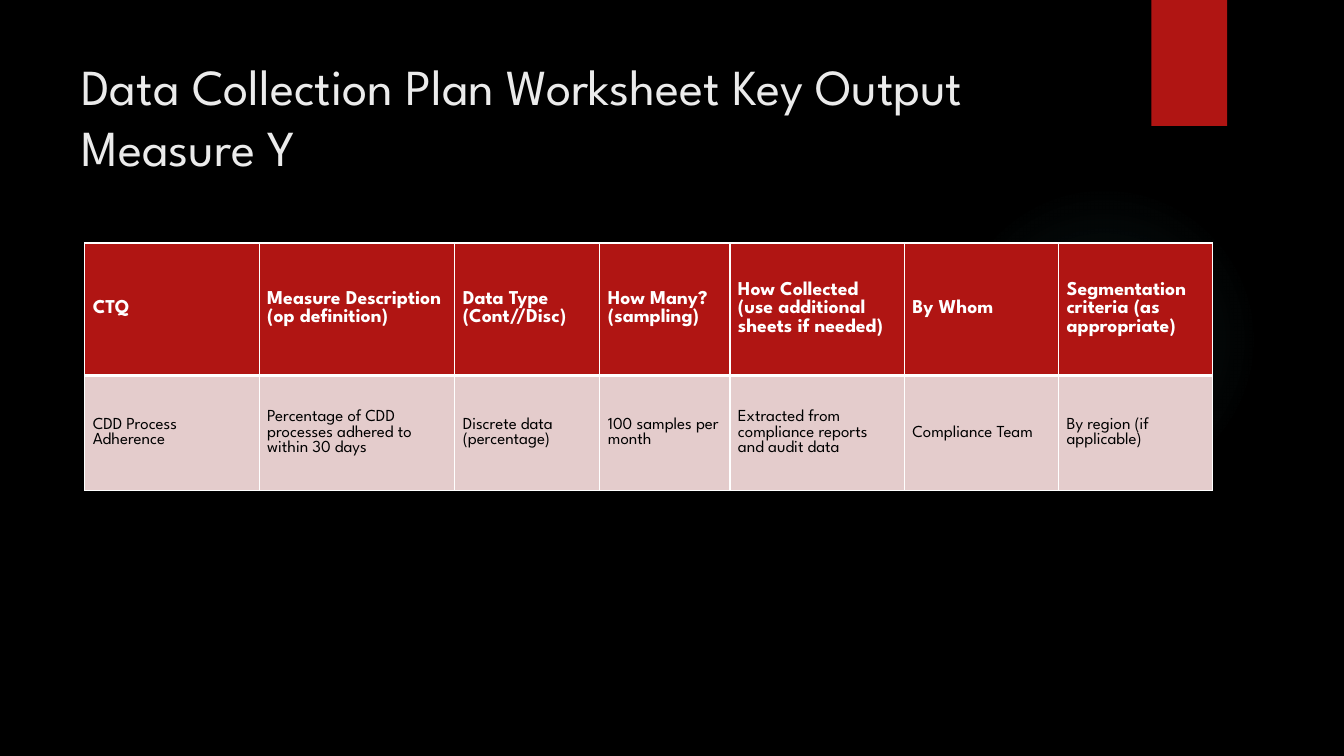
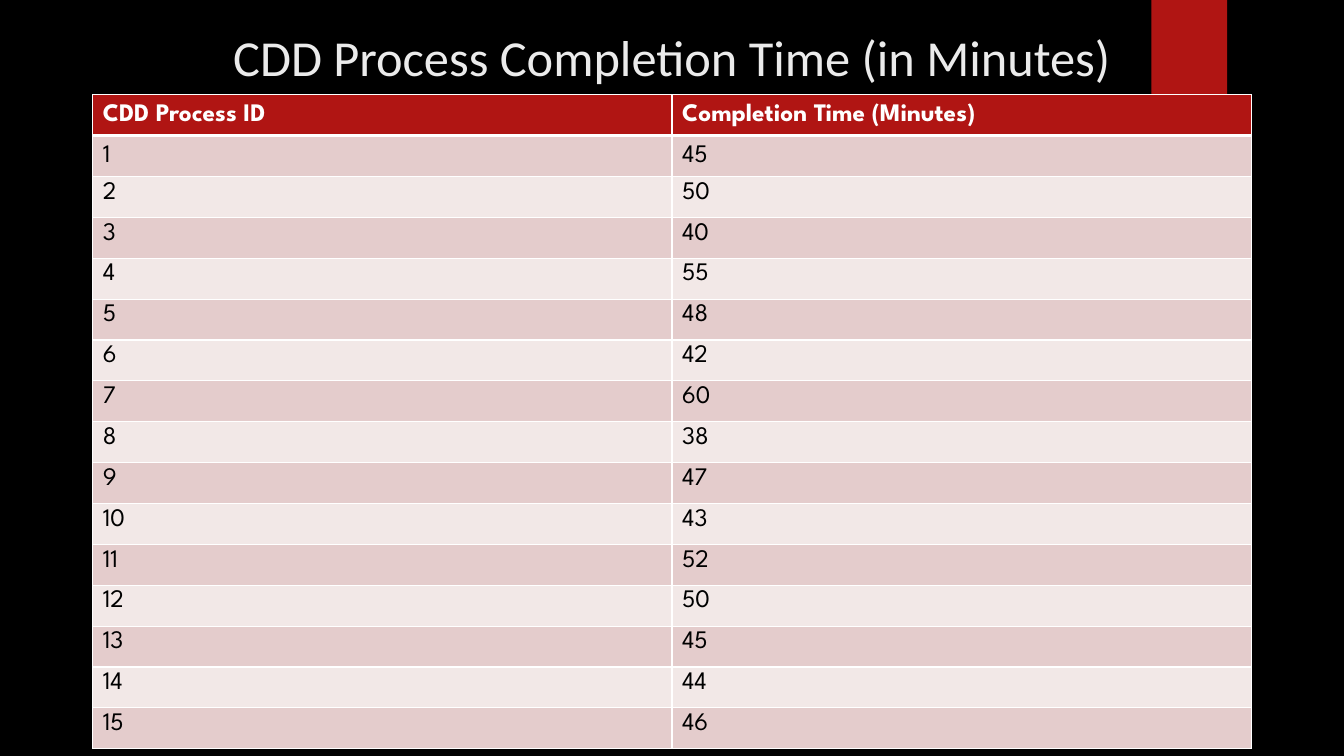
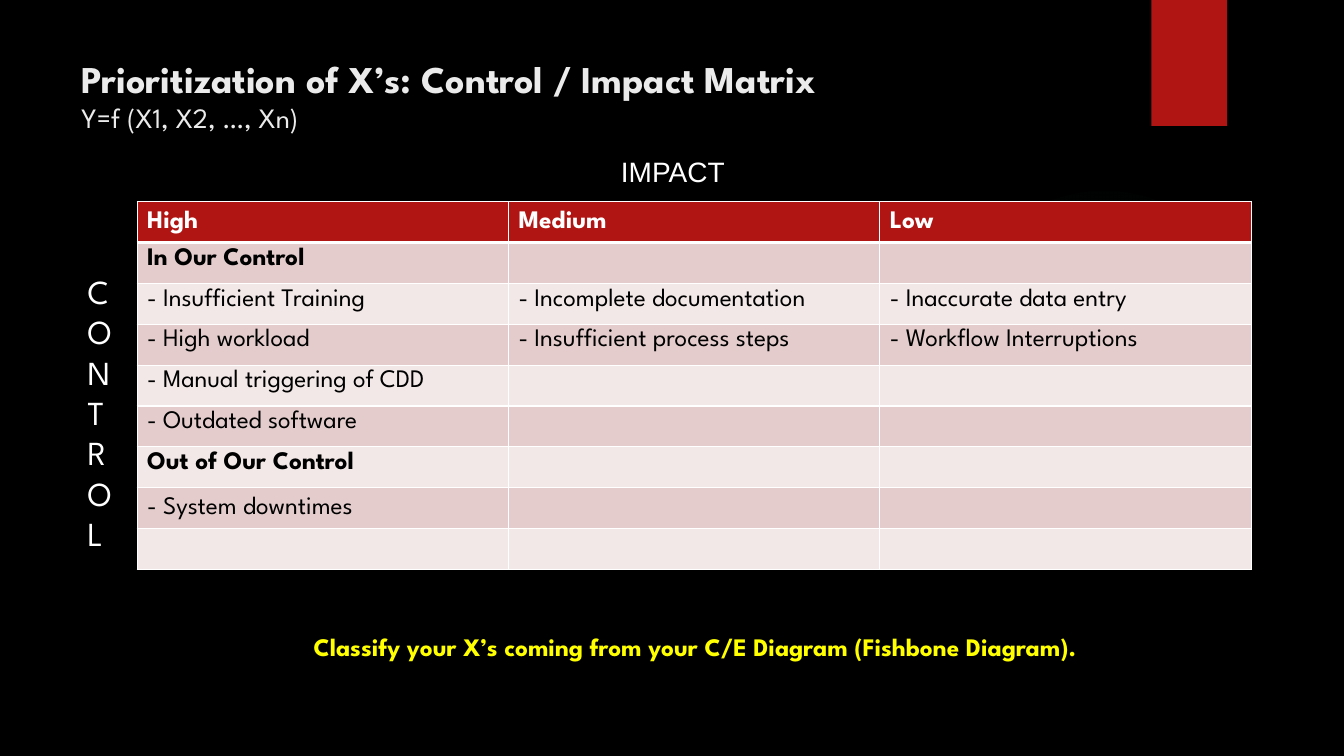
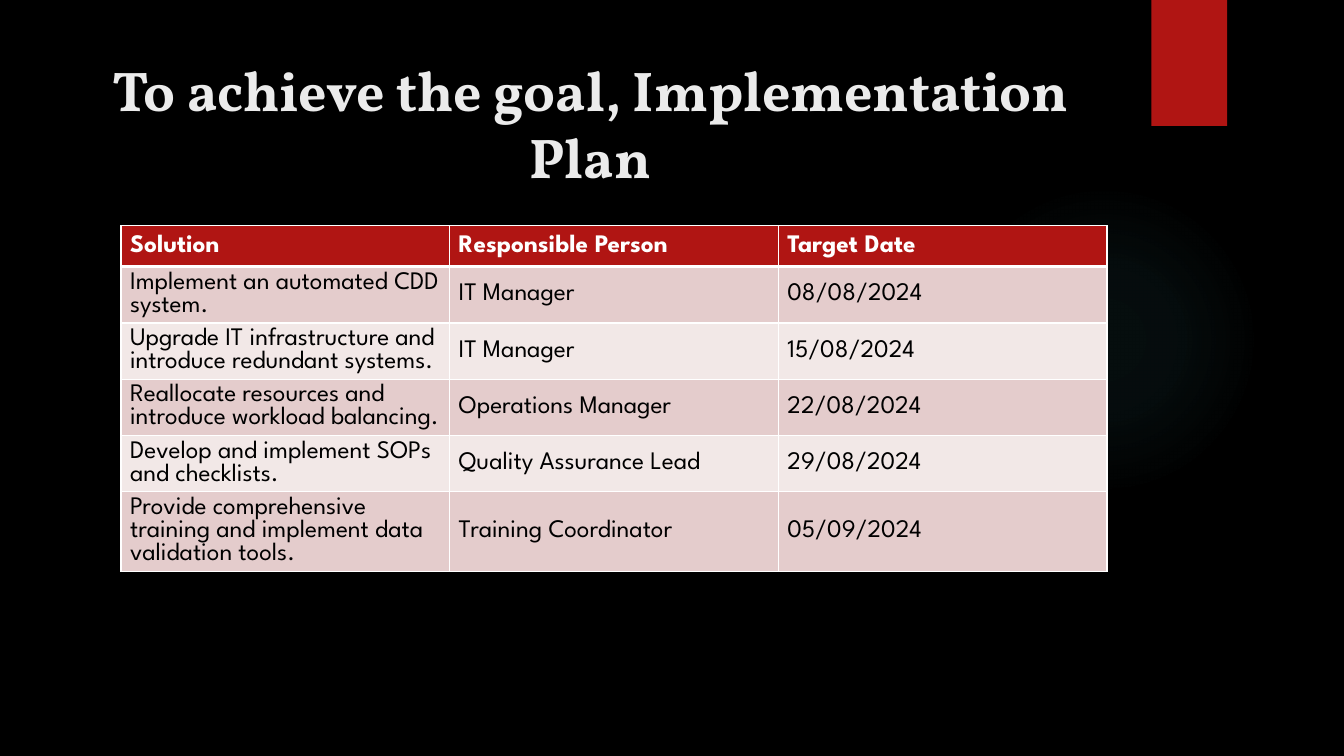
from dataclasses import dataclass, field

from lxml.etree import SubElement
from pptx import Presentation
from pptx.dml.color import RGBColor
from pptx.enum.shapes import MSO_SHAPE
from pptx.enum.text import MSO_ANCHOR, PP_ALIGN
from pptx.oxml import parse_xml
from pptx.oxml.ns import nsdecls, qn
from pptx.util import Inches, Pt


@dataclass(frozen=True)
class Theme:
    background: str = "000000"
    accent: str = "B01513"
    glow: str = "50B9C1"
    title: str = "EBEBEB"
    light: str = "FFFFFF"
    dark: str = "000000"
    note: str = "FFFF00"
    bands: tuple[str, str] = ("E4CCCC", "F2E8E7")
    font: str = "League Spartan"
    title_size: int = 36
    body_size: int = 18
    thin: int = 1
    thick: int = 3


@dataclass(frozen=True)
class Area:
    """A rectangle in inches."""
    left: float
    top: float
    width: float
    height: float

    def emu(self) -> tuple:
        return tuple(Inches(n) for n in (self.left, self.top, self.width, self.height))


@dataclass(frozen=True)
class Grid:
    """A table: column and row shares divide its area; body_pitch is a line height in points."""
    area: Area
    rows: list[tuple[str, ...]]
    column_shares: tuple[float, ...]
    row_shares: tuple[float, ...] = ()
    header_size: int = 18
    body_size: int = 18
    body_pitch: float = 0
    inset: float = 0.1
    top_rows: set[int] = field(default_factory=set)
    bold_rows: set[int] = field(default_factory=set)


THEME = Theme()
SLIDE = Area(0, 0, 13.33, 7.5)
TITLE = Area(0.71, 0.5, 10.29, 1.53)
GLOW = Area(9.41, 1.83, 3.08, 3.08)
RIBBON = Area(11.42, 0, 0.75, 1.25)

COLLECTION = Grid(
    Area(0.84, 2.41, 11.19, 2.46),
    [("CTQ", "Measure Description (op definition)", "Data Type (Cont//Disc)",
      "How Many? (sampling)", "How Collected (use additional sheets if needed)",
      "By Whom", "Segmentation criteria (as appropriate)"),
     ("CDD Process Adherence", "Percentage of CDD processes adhered to within 30 days",
      "Discrete data (percentage)", "100 samples per month",
      "Extracted from compliance reports and audit data", "Compliance Team",
      "By region (if applicable)")],
    (1.73, 1.94, 1.44, 1.29, 1.73, 1.53, 1.53), (1.31, 1.14),
    header_size=14, body_size=12, inset=0.08)

MINUTES = (45, 50, 40, 55, 48, 42, 60, 38, 47, 43, 52, 50, 45, 44, 46)
COMPLETION = Grid(
    Area(0.92, 0.94, 11.49, 6.49),
    [("CDD Process ID", "Completion Time (Minutes)"),
     *((str(number), str(time)) for number, time in enumerate(MINUTES, 1))],
    (1, 1), top_rows=set(range(2, 16)))

MATRIX = Grid(
    Area(1.36, 2, 11.05, 3.65),
    [("High", "Medium", "Low"),
     ("In Our Control", "", ""),
     ("- Insufficient Training", "- Incomplete documentation", "- Inaccurate data entry"),
     ("- High workload", "- Insufficient process steps", "- Workflow Interruptions"),
     ("- Manual triggering of CDD", "", ""),
     ("- Outdated software", "", ""),
     ("Out of Our Control", "", ""),
     ("- System downtimes", "", ""),
     ("", "", "")],
    (1, 1, 1), top_rows={1, 2, 3, 4, 5, 6, 8}, bold_rows={1, 6})

PLAN = Grid(
    Area(1.2, 2.24, 9.78, 2.43),
    [("Solution", "Responsible Person", "Target Date"),
     ("Implement an automated CDD system.", "IT Manager", "08/08/2024"),
     ("Upgrade IT infrastructure and introduce redundant systems.", "IT Manager", "15/08/2024"),
     ("Reallocate resources and introduce workload balancing.", "Operations Manager", "22/08/2024"),
     ("Develop and implement SOPs and checklists.", "Quality Assurance Lead", "29/08/2024"),
     ("Provide comprehensive training and implement data validation tools.",
      "Training Coordinator", "05/09/2024")],
    (1, 1, 1), body_pitch=16.5, inset=0.09)


def add_span(para, text: str, *, size: float = THEME.body_size, color: str = THEME.light,
             font: str = THEME.font, bold: bool = False) -> None:
    span = para.add_run()
    span.text = text
    span.font.size = Pt(size)
    span.font.name = font
    span.font.bold = bold
    span.font.color.rgb = RGBColor.from_string(color)


def add_text(page, area: Area, *lines: str, align=PP_ALIGN.LEFT, **style):
    """Add a text box with one paragraph per line and return its last paragraph."""
    frame = page.shapes.add_textbox(*area.emu()).text_frame
    frame.word_wrap = True
    for index, line in enumerate(lines):
        para = frame.add_paragraph() if index else frame.paragraphs[0]
        para.alignment = align
        add_span(para, line, **style)
    return para


def add_title(page, text: str, area: Area = TITLE, **style):
    return add_text(page, area, text, **{"size": THEME.title_size, "color": THEME.title, **style})


def add_plain_shape(page, kind, area: Area, color: str):
    shape = page.shapes.add_shape(kind, *area.emu())
    shape.shadow.inherit = False
    shape.line.fill.background()
    shape.fill.solid()
    shape.fill.fore_color.rgb = RGBColor.from_string(color)
    return shape


def add_page(deck):
    """Add a blank slide with the shared glow and ribbon."""
    page = deck.slides.add_slide(deck.slide_layouts[6])
    glow = add_plain_shape(page, MSO_SHAPE.OVAL, GLOW, THEME.glow)
    stops = "".join(
        f'<a:gs pos="{place * 1000}"><a:srgbClr val="{THEME.glow}">'
        f'<a:alpha val="{alpha * 1000}"/></a:srgbClr></a:gs>'
        for place, alpha in ((0, 7), (36, 6), (69, 0), (100, 0)))
    gradient = parse_xml(
        f'<a:gradFill {nsdecls("a")}><a:gsLst>{stops}</a:gsLst><a:path path="circle">'
        '<a:fillToRect l="50000" t="50000" r="50000" b="50000"/></a:path></a:gradFill>')
    properties = glow.element.spPr
    properties.replace(properties.find(qn("a:solidFill")), gradient)
    add_plain_shape(page, MSO_SHAPE.RECTANGLE, RIBBON, THEME.accent)
    return page


def set_borders(cell, row: int) -> None:
    """Draw thin borders, with a thick one between header and body."""
    properties = cell._tc.get_or_add_tcPr()
    widths = {"L": THEME.thin, "R": THEME.thin,
              "T": THEME.thick if row == 1 else THEME.thin,
              "B": THEME.thick if row == 0 else THEME.thin}
    for side, width in widths.items():
        line = SubElement(properties, qn(f"a:ln{side}"), w=str(Pt(width)))
        SubElement(SubElement(line, qn("a:solidFill")), qn("a:srgbClr"), val=THEME.light)


def add_grid(page, grid: Grid) -> None:
    table = page.shapes.add_table(len(grid.rows), len(grid.column_shares), *grid.area.emu()).table
    table.horz_banding = False
    row_shares = grid.row_shares or (1,) * len(grid.rows)
    for column, share in zip(table.columns, grid.column_shares):
        column.width = Inches(grid.area.width * share / sum(grid.column_shares))
    for row, share in zip(table.rows, row_shares):
        row.height = Inches(grid.area.height * share / sum(row_shares))
    for row, texts in enumerate(grid.rows):
        header = row == 0
        for column, text in enumerate(texts):
            cell = table.cell(row, column)
            set_borders(cell, row)
            cell.fill.solid()
            cell.fill.fore_color.rgb = RGBColor.from_string(
                THEME.accent if header else THEME.bands[(row - 1) % 2])
            cell.margin_left = cell.margin_right = Inches(grid.inset)
            cell.vertical_anchor = MSO_ANCHOR.TOP if row in grid.top_rows else MSO_ANCHOR.MIDDLE
            para = cell.text_frame.paragraphs[0]
            if grid.body_pitch and not header:
                para.line_spacing = Pt(grid.body_pitch)
            if text:
                add_span(para, text,
                         size=grid.header_size if header else grid.body_size,
                         color=THEME.light if header else THEME.dark,
                         bold=header or row in grid.bold_rows)


def build_collection(deck) -> None:
    page = add_page(deck)
    add_title(page, "Data Collection Plan Worksheet Key Output Measure Y")
    add_grid(page, COLLECTION)


def build_completion(deck) -> None:
    page = add_page(deck)
    add_title(page, "CDD Process Completion Time (in Minutes)", Area(0.92, 0.21, 11.49, 0.9),
              align=PP_ALIGN.CENTER, font="Calibri")
    add_grid(page, COMPLETION)


def build_matrix(deck) -> None:
    page = add_page(deck)
    para = add_title(page, "Prioritization of X’s: Control / Impact Matrix", size=27, bold=True)
    para.add_line_break()
    add_span(para, "Y=f (X1, X2, …, Xn)", size=20, color=THEME.title)
    add_grid(page, MATRIX)
    add_text(page, Area(6.06, 1.48, 1.5, 0.44), "IMPACT", size=20, font="Arial")
    add_text(page, Area(0.77, 2.64, 0.51, 2.93), *"CONTROL", size=24)
    add_text(page, Area(1.24, 6.21, 11.31, 0.4),
             "Classify your X’s coming from your C/E Diagram (Fishbone Diagram).",
             align=PP_ALIGN.CENTER, color=THEME.note, bold=True)


def build_plan(deck) -> None:
    page = add_page(deck)
    add_title(page, "To achieve the goal, Implementation Plan", align=PP_ALIGN.CENTER,
              size=40, font="Vollkorn", bold=True)
    add_grid(page, PLAN)


def main() -> None:
    deck = Presentation()
    deck.slide_width, deck.slide_height = Inches(SLIDE.width), Inches(SLIDE.height)
    backdrop = deck.slide_master.background.fill
    backdrop.solid()
    backdrop.fore_color.rgb = RGBColor.from_string(THEME.background)
    for build in (build_collection, build_completion, build_matrix, build_plan):
        build(deck)
    deck.save("out.pptx")


if __name__ == "__main__":
    main()
